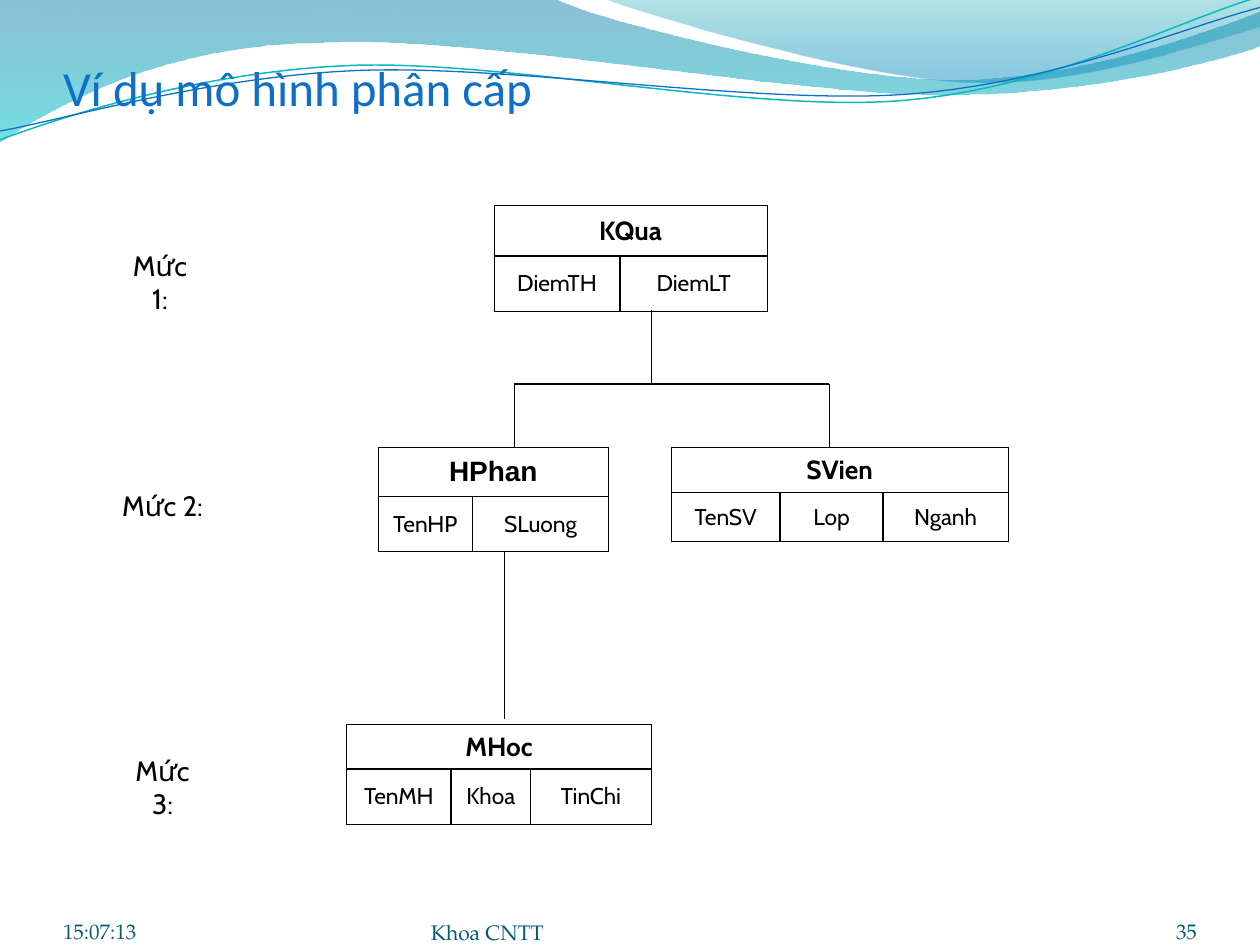
import math

from lxml import etree
from pptx import Presentation
from pptx import util as u
from pptx.dml.color import RGBColor
from pptx.enum import shapes, text
from pptx.oxml import ns

HUES = {"ink": "000000", "title": "0F6FC6", "foot": "045D75", "teal": "0AB8BF"}
BODY = "Cabin"
FOOT = "TeX Gyre Pagella"
TILT = 2.7
AL = text.PP_ALIGN
ANC = text.MSO_ANCHOR
FIT = text.MSO_AUTO_SIZE

BANDS = [
    ([(0, -0.01), (4.4, -0.01), (4.76, 0.17, 6.64, 0.63, 7.58, 0.63),
      (8.53, 0.63, 9.58, 0.26, 10, 0.09), (10.01, 0.36),
      (9.83, 0.44, 8.7, 0.76, 7.46, 0.75), (6.22, 0.75, 3.82, 0.28, 2.57, 0.34),
      (1.29, 0.35, 0.46, 0.83, -0.01, 1.13), (0, -0.01)],
     [(0, "0074A1", 45), (1, "00C6CF", 55)]),
    ([(4.79, -0.01), (5.09, 0.11, 6.82, 0.62, 7.69, 0.65),
      (8.56, 0.69, 9.61, 0.32, 10, 0.21), (10, 0), (4.79, -0.01)],
     [(0, "00A1A9", 30), (0.8, "008BBF", 45)]),
]
WAVES = [
    ([(0, 1.11), (0.48, 0.93, 1.58, 0.57, 2.77, 0.52),
      (3.95, 0.47, 5.93, 0.89, 7.13, 0.8), (8.33, 0.71, 9.38, 0.15, 9.98, -0.02)],
     "teal", 0.85),
    ([(0, 1.04), (0.47, 0.96, 1.64, 0.61, 2.83, 0.56),
      (4.03, 0.51, 5.97, 0.83, 7.17, 0.75), (8.36, 0.67, 9.41, 0.21, 10, 0.06)],
     "title", 0.75),
]
RECORDS = [
    ("KQua", ["DiemTH", "DiemLT"], 3.92, 1.63, [1, 1.17], [0.4, 0.44], BODY, 15),
    ("SVien", ["TenSV", "Lop", "Nganh"], 5.33, 3.55, [0.86, 0.82, 0.99],
     [0.36, 0.39], BODY, 15),
    ("HPhan", ["TenHP", "SLuong"], 3, 3.55, [0.75, 1.08], [0.39, 0.44], "Arial", 16),
    ("MHoc", ["TenMH", "Khoa", "TinChi"], 2.75, 5.75, [0.83, 0.63, 0.96],
     [0.35, 0.44], BODY, 15),
]
LINKS = [
    (4, 4.38, 4, 5.71, 0.5), (5.17, 2.46, 5.17, 3.05, 0.5), (4.08, 3.05, 6.58, 3.05, 1),
    (4.08, 3.05, 4.08, 3.55, 0.5), (6.58, 3.05, 6.58, 3.55, 0.5),
]
LEVELS = [("Mức 1:", 1.92, 0.8), ("Mức 2:", 3.83, 0.84), ("Mức 3:", 5.93, 0.84)]


def tint(hue):
    """Return the colour for a name or a hex string."""
    return RGBColor.from_string(HUES.get(hue, hue))


def write(frame, words, size, face, hue="ink", bold=False, align=AL.LEFT):
    """Put one formatted paragraph in a text frame."""
    frame.text = words
    para = frame.paragraphs[0]
    para.alignment = align
    font = para.runs[0].font
    font.size, font.name, font.bold = u.Pt(size), face, bold
    font.color.rgb = tint(hue)


def pad(frame, top=0):
    """Clear the insets of a text frame and anchor it at the bottom."""
    frame.margin_left = frame.margin_right = frame.margin_bottom = 0
    frame.margin_top = u.Inches(top)
    frame.vertical_anchor = ANC.BOTTOM
    frame.word_wrap = True


def turn(x, y, angle, mid=(4.99, 0.57)):
    """Rotate a point clockwise about the middle of the waves."""
    rad = math.radians(angle)
    dx, dy = x - mid[0], y - mid[1]
    return (mid[0] + dx * math.cos(rad) - dy * math.sin(rad),
            mid[1] + dx * math.sin(rad) + dy * math.cos(rad))


def outline(slide, steps, close, angle=0):
    """Draw a freeform whose steps are lines (one point) or curves (three)."""
    pts = [turn(*step[i:i + 2], angle) for step in steps for i in range(0, len(step), 2)]
    pts = [(u.Inches(x), u.Inches(y)) for x, y in pts]
    form = slide.shapes.build_freeform(*pts[0])
    form.add_line_segments(pts[1:], close=close)
    shape = form.convert_to_shape()
    shape.shadow.inherit = False
    shape.rotation = -angle % 360
    legs = iter(list(shape.element.iter(ns.qn("a:lnTo"))))
    for step in steps[1:]:
        leg = next(legs)
        if len(step) == 6:
            curve = etree.Element(ns.qn("a:cubicBezTo"))
            leg.addprevious(curve)
            for part in (leg, next(legs), next(legs)):
                curve.append(part[0])
                part.getparent().remove(part)
    return shape


def band(slide, steps, stops):
    """Draw a wave band with a see-through vertical gradient."""
    shape = outline(slide, steps, True)
    shape.line.fill.background()
    shape.fill.gradient()
    shape.fill.gradient_angle = 270
    for stop, (pos, hue, _) in zip(shape.fill.gradient_stops, stops):
        stop.position = pos
        stop.color.rgb = tint(hue)
    fill = shape.element.spPr.find(ns.qn("a:gradFill"))
    for node, (_, _, alpha) in zip(fill.iter(ns.qn("a:srgbClr")), stops):
        etree.SubElement(node, ns.qn("a:alpha"), val=str(alpha * 1000))


def wave(slide, steps, hue, width):
    """Draw a thin open wave line."""
    shape = outline(slide, steps, False, TILT)
    shape.fill.background()
    shape.line.color.rgb = tint(hue)
    shape.line.width = u.Pt(width)


def border(cell, widths):
    """Set the left, right, top and bottom borders of a cell."""
    props = cell._tc.get_or_add_tcPr()
    for side, width in zip("LRTB", widths):
        line = etree.SubElement(props, ns.qn("a:ln" + side), w=str(u.Pt(width)))
        fill = etree.SubElement(line, ns.qn("a:solidFill"))
        etree.SubElement(fill, ns.qn("a:srgbClr"), val=HUES["ink"])


def record(slide, name, fields, x, y, cols, rows, face, size):
    """Draw a record type as a table of a name over its fields."""
    frame = slide.shapes.add_table(2, len(cols), u.Inches(x), u.Inches(y),
                                   u.Inches(sum(cols)), u.Inches(sum(rows)))
    table = frame.table
    table.first_row = table.horz_banding = False
    for col, width in zip(table.columns, cols):
        col.width = u.Inches(width)
    for row, height in zip(table.rows, rows):
        row.height = u.Inches(height)
    last = len(cols) - 1
    for i, field in enumerate(fields):
        top, cell = table.cell(0, i), table.cell(1, i)
        border(top, (0.5, 0.5, 0.5, 1))
        border(cell, (1 if i else 0.5, 1 if i < last else 0.5, 1, 0.5))
        for part in (top, cell):
            part.fill.background()
            part.vertical_anchor = ANC.MIDDLE
        write(cell.text_frame, field, 13, BODY, align=AL.CENTER)
    table.cell(0, 0).merge(table.cell(0, last))
    write(table.cell(0, 0).text_frame, name, size, face, bold=True, align=AL.CENTER)


def link(slide, x, y, to_x, to_y, width):
    """Draw a straight tree line."""
    line = slide.shapes.add_connector(shapes.MSO_CONNECTOR.STRAIGHT, u.Inches(x),
                                      u.Inches(y), u.Inches(to_x), u.Inches(to_y))
    line.line.color.rgb = tint("ink")
    line.line.width = u.Pt(width)
    etree.SubElement(line.element.spPr, ns.qn("a:effectLst"))


def box(slide, x, y, w, h):
    """Add a text box and return its text frame."""
    return slide.shapes.add_textbox(u.Inches(x), u.Inches(y), u.Inches(w),
                                    u.Inches(h)).text_frame


def label(slide, words, y, w):
    """Write a level label at the left."""
    frame = box(slide, 0.87, y, w, 0.37)
    frame.word_wrap = False
    frame.auto_size = FIT.SHAPE_TO_FIT_TEXT
    write(frame, words, 16, BODY, align=AL.CENTER)


def foot(slide, words, x, y, w, align=AL.LEFT):
    """Write one footer entry."""
    frame = box(slide, x, y, w, 0.5)
    pad(frame)
    write(frame, words, 12, FOOT, "foot", align=align)


def head(slide, words):
    """Place the title in front of the waves."""
    title = slide.shapes.title
    title.left, title.top = u.Inches(0.5), u.Inches(0.39)
    title.width, title.height = u.Inches(9), u.Inches(0.53)
    slide.shapes.element.append(title.element)
    pad(title.text_frame, 0.05)
    title.text_frame.auto_size = FIT.NONE
    write(title.text_frame, words, 28, "Calibri", "title")


def main():
    """Build the slide and save it."""
    deck = Presentation()
    deck.slide_width, deck.slide_height = u.Inches(10), u.Inches(7.5)
    slide = deck.slides.add_slide(deck.slide_layouts[5])
    for item in BANDS:
        band(slide, *item)
    for item in WAVES:
        wave(slide, *item)
    head(slide, "Ví dụ mô hình phân cấp")
    for item in RECORDS:
        record(slide, *item)
    for item in LINKS:
        link(slide, *item)
    for item in LEVELS:
        label(slide, *item)
    foot(slide, "15:07:13", 0.5, 6.99, 6.08)
    foot(slide, "Khoa CNTT", 3.42, 7, 3.17)
    foot(slide, "35", 7.17, 6.99, 2.33, AL.RIGHT)
    deck.save("out.pptx")


if __name__ == "__main__":
    main()
